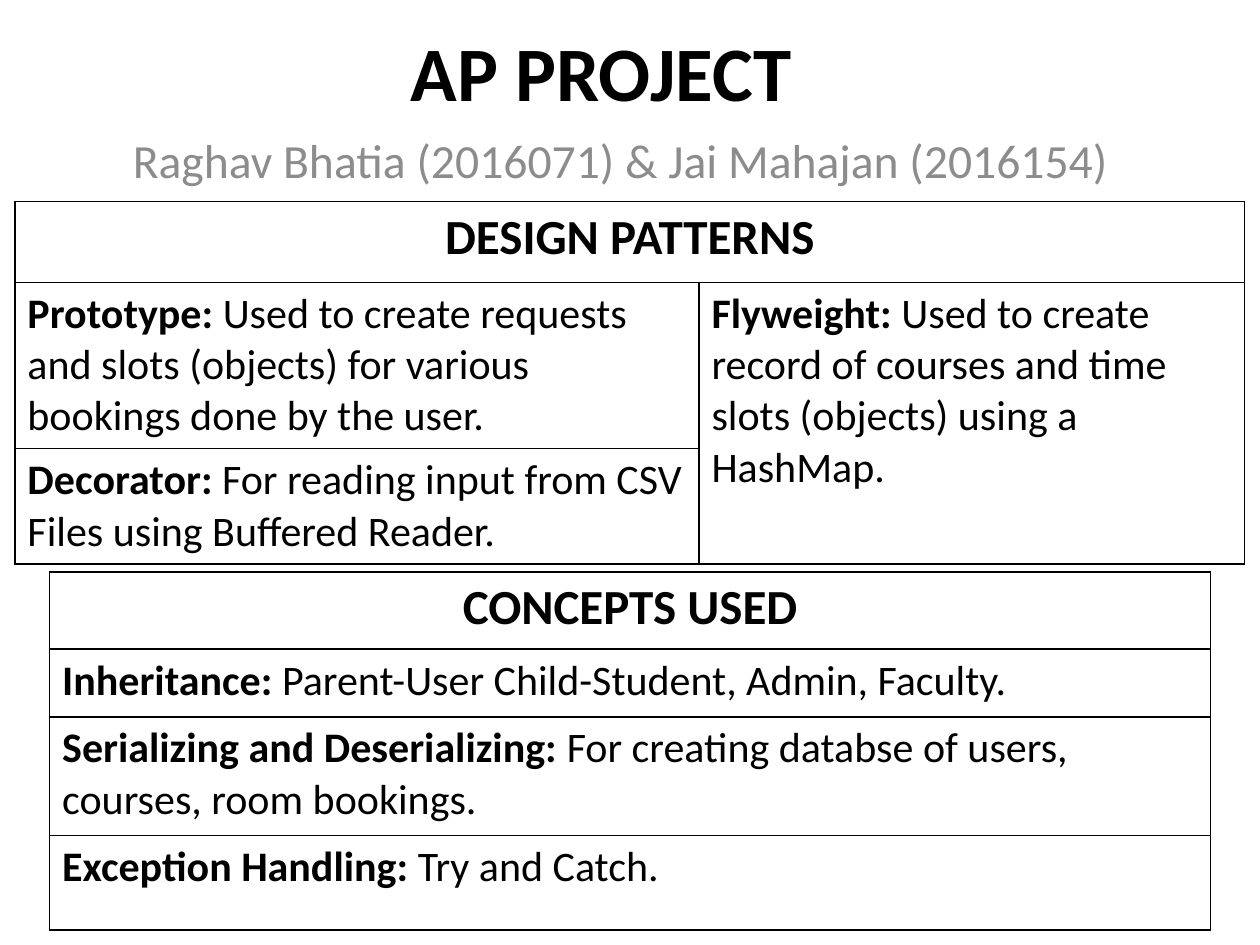
from lxml.etree import SubElement
from pptx import Presentation
from pptx.dml.color import RGBColor
from pptx.enum.text import MSO_ANCHOR, MSO_AUTO_SIZE, PP_ALIGN
from pptx.oxml.ns import qn
from pptx.util import Cm, Pt

BLACK, GREY = "000000", "8C8C8C"


def style(run, size, color, bold):
    font = run.font
    font.name, font.size, font.bold = "Calibri", Pt(size), bold
    font.color.rgb = RGBColor.from_string(color)


def outline(cell, color):
    """Clear the cell's fill and draw a 1 pt line on all four sides."""
    props = cell._tc.get_or_add_tcPr()
    for side in ("a:lnL", "a:lnR", "a:lnT", "a:lnB"):
        line = SubElement(props, qn(side), w=str(Pt(1)))
        SubElement(SubElement(line, qn("a:solidFill")), qn("a:srgbClr"), val=color)
    cell.fill.background()


prs = Presentation()
prs.slide_width, prs.slide_height = Cm(25.4), Cm(19.05)
slide = prs.slides.add_slide(prs.slide_layouts[0])

# Title and authors: placeholder, text, box in cm, size, colour, bold, anchor
headings = [
    (slide.shapes.title, "AP PROJECT ",
     (1.5, 0.33, 21.59, 2.21), 44, BLACK, True, MSO_ANCHOR.MIDDLE),
    (slide.placeholders[1], "Raghav Bhatia (2016071) & Jai Mahajan (2016154)",
     (2.11, 2.51, 20.8, 1.6), 27.2, GREY, False, MSO_ANCHOR.TOP),
]
for holder, wording, box, size, color, bold, anchor in headings:
    holder.left, holder.top, holder.width, holder.height = map(Cm, box)
    frame = holder.text_frame
    frame.text = wording
    frame.auto_size = MSO_AUTO_SIZE.NONE
    frame.vertical_anchor = anchor
    frame.paragraphs[0].alignment = PP_ALIGN.CENTER
    style(frame.paragraphs[0].runs[0], size, color, bold)

# Tables: left and top, column widths, row heights (cm), heading,
# (row, column, term, explanation), merged cell ranges
tables = [
    ((0.3, 4.06), [13.79, 11], [1.63, 3.1, 2.21], "DESIGN PATTERNS", [
        (1, 0, "Prototype: ", "Used to create requests and slots (objects) "
                              "for various bookings done by the user."),
        (1, 1, "Flyweight: ", "Used to create record of courses and time "
                              "slots (objects) using a HashMap."),
        (2, 0, "Decorator: ", "For reading input from CSV Files using Buffered Reader."),
    ], [((0, 0), (0, 1)), ((1, 1), (2, 1))]),
    ((1, 11.53), [23.4], [1.55, 1.37, 2.39, 1.91], "CONCEPTS USED", [
        (1, 0, "Inheritance: ", "Parent-User Child-Student, Admin, Faculty."),
        (2, 0, "Serializing and Deserializing: ",
         "For creating databse of users, courses, room bookings."),
        (3, 0, "Exception Handling: ", "Try and Catch."),
    ], []),
]
for (left, top), widths, heights, heading, entries, merges in tables:
    table = slide.shapes.add_table(
        len(heights), len(widths), Cm(left), Cm(top),
        Cm(sum(widths)), Cm(sum(heights))).table
    table.first_row = table.horz_banding = False
    for column, width in zip(table.columns, widths):
        column.width = Cm(width)
    for row, height in zip(table.rows, heights):
        row.height = Cm(height)
    for cell in table.iter_cells():
        outline(cell, BLACK)
    for first, last in merges:
        table.cell(*first).merge(table.cell(*last))

    head = table.cell(0, 0).text_frame.paragraphs[0]
    head.text = heading
    head.alignment = PP_ALIGN.CENTER
    style(head.runs[0], 28, BLACK, True)

    for row, column, term, explanation in entries:
        entry = table.cell(row, column).text_frame.paragraphs[0]
        for wording, bold in ((term, True), (explanation, False)):
            run = entry.add_run()
            run.text = wording
            style(run, 24, BLACK, bold)

prs.save("out.pptx")
